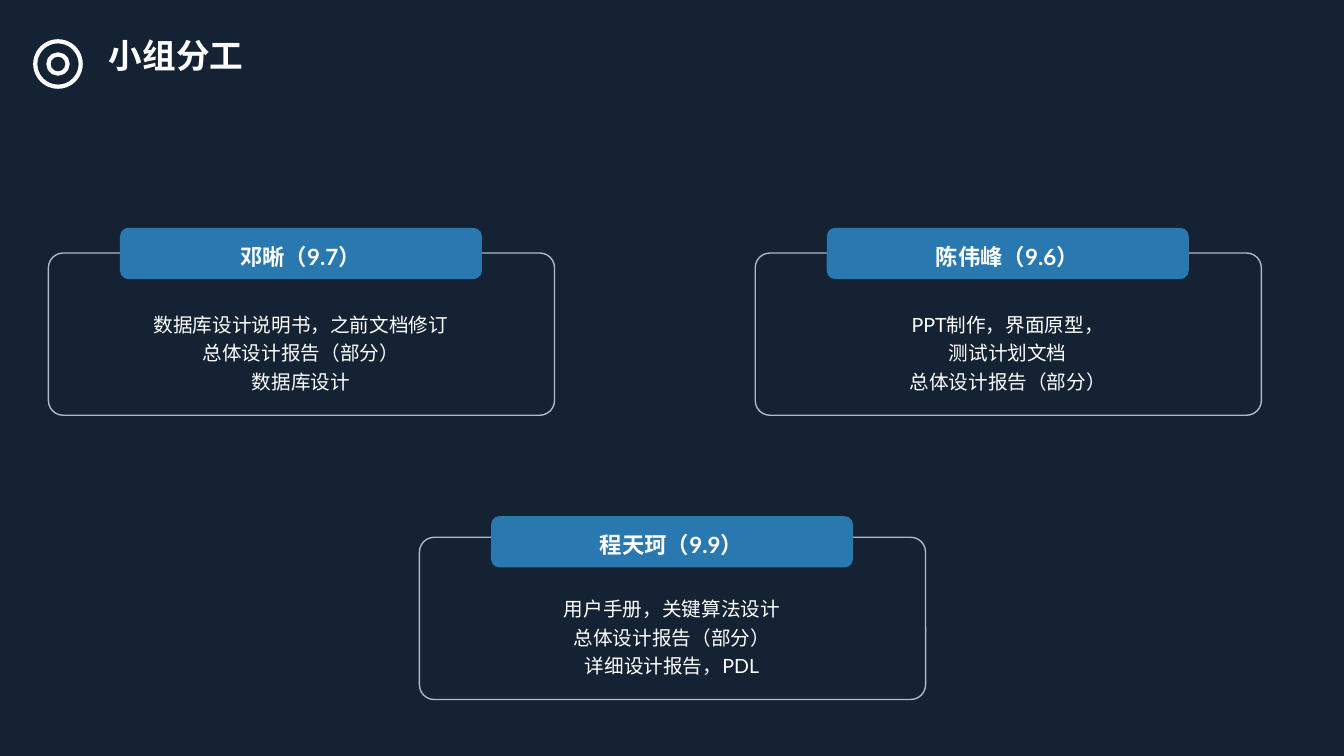
from pptx import Presentation
from pptx.dml.color import RGBColor
from pptx.enum.shapes import MSO_SHAPE as Shape
from pptx.enum.text import MSO_ANCHOR as Anchor, MSO_AUTO_SIZE as Fit, PP_ALIGN as Align
from pptx.util import Inches, Pt

WHITE = "FFFFFF"
CARDS = [
    (0.48, 2.51, 0.25, "邓晰（9.7）",
     ["数据库设计说明书，之前文档修订", "总体设计报告（部分）", "数据库设计"]),
    (4.16, 5.33, 0.21, "程天珂（9.9）",
     ["用户手册，关键算法设计", "总体设计报告（部分）", "详细设计报告，PDL"]),
    (7.49, 2.51, 0.25, "陈伟峰（9.6）",
     ["PPT制作，界面原型，", "测试计划文档", "总体设计报告（部分）"]),
]


def color(code):
    return RGBColor.from_string(code)


def place(*box):
    return [Inches(n) for n in box]


def draw(group, kind, box, fill=None, line=None, width=1):
    shape = group.shapes.add_shape(kind, *place(*box))
    shape.shadow.inherit = False
    if fill:
        shape.fill.solid()
        shape.fill.fore_color.rgb = color(fill)
    else:
        shape.fill.background()
    if line:
        shape.line.color.rgb = color(line)
        shape.line.width = Pt(width)
    else:
        shape.line.fill.background()
    return shape


def write(frame, lines, size, bold=False, align=Align.CENTER):
    frame.word_wrap = True
    frame.auto_size = Fit.SHAPE_TO_FIT_TEXT
    frame.vertical_anchor = Anchor.TOP
    for i, line in enumerate(lines):
        para = frame.add_paragraph() if i else frame.paragraphs[0]
        para.alignment = align
        para.line_spacing = 1.2
        run = para.add_run()
        run.text = line
        run.font.name = "Lato"
        run.font.size = Pt(size)
        run.font.bold = bold
        run.font.color.rgb = color(WHITE)


def label(group, box, lines, size, bold=False):
    write(group.shapes.add_textbox(*place(*box)).text_frame, lines, size, bold)


def header(slide, x, y):
    title = slide.shapes.title
    title.left, title.top, title.width, title.height = place(x + 0.63, y - 0.19, 2.9, 0.58)
    write(title.text_frame, ["小组分工"], 24, True, Align.LEFT)
    icon = slide.shapes.add_group_shape()
    for inset in (0, 0.13):
        side = 0.45 - 2 * inset
        draw(icon, Shape.OVAL, (x + inset, y + inset, side, side), line=WHITE, width=3)


def card(slide, x, y, lift, name, tasks):
    group = slide.shapes.add_group_shape()
    frame = draw(group, Shape.ROUNDED_RECTANGLE, (x, y, 5.02, 1.61), line="ADBACA")
    frame.adjustments[0] = 0.091
    label(group, (x + 0.36, y + 0.5, 4.29, 0.95), tasks, 14)
    top = y - lift
    draw(group, Shape.ROUNDED_RECTANGLE, (x + 0.71, top, 3.59, 0.51), fill="2A78B0")
    label(group, (x + 0.97, top + 0.05, 3.06, 0.42), [name], 16, True)


def main():
    deck = Presentation()
    deck.slide_width, deck.slide_height = place(13.33, 7.5)
    slide = deck.slides.add_slide(deck.slide_layouts[5])
    slide.background.fill.solid()
    slide.background.fill.fore_color.rgb = color("142233")
    header(slide, 0.35, 0.41)
    for item in CARDS:
        card(slide, *item)
    deck.save("out.pptx")


if __name__ == "__main__":
    main()
